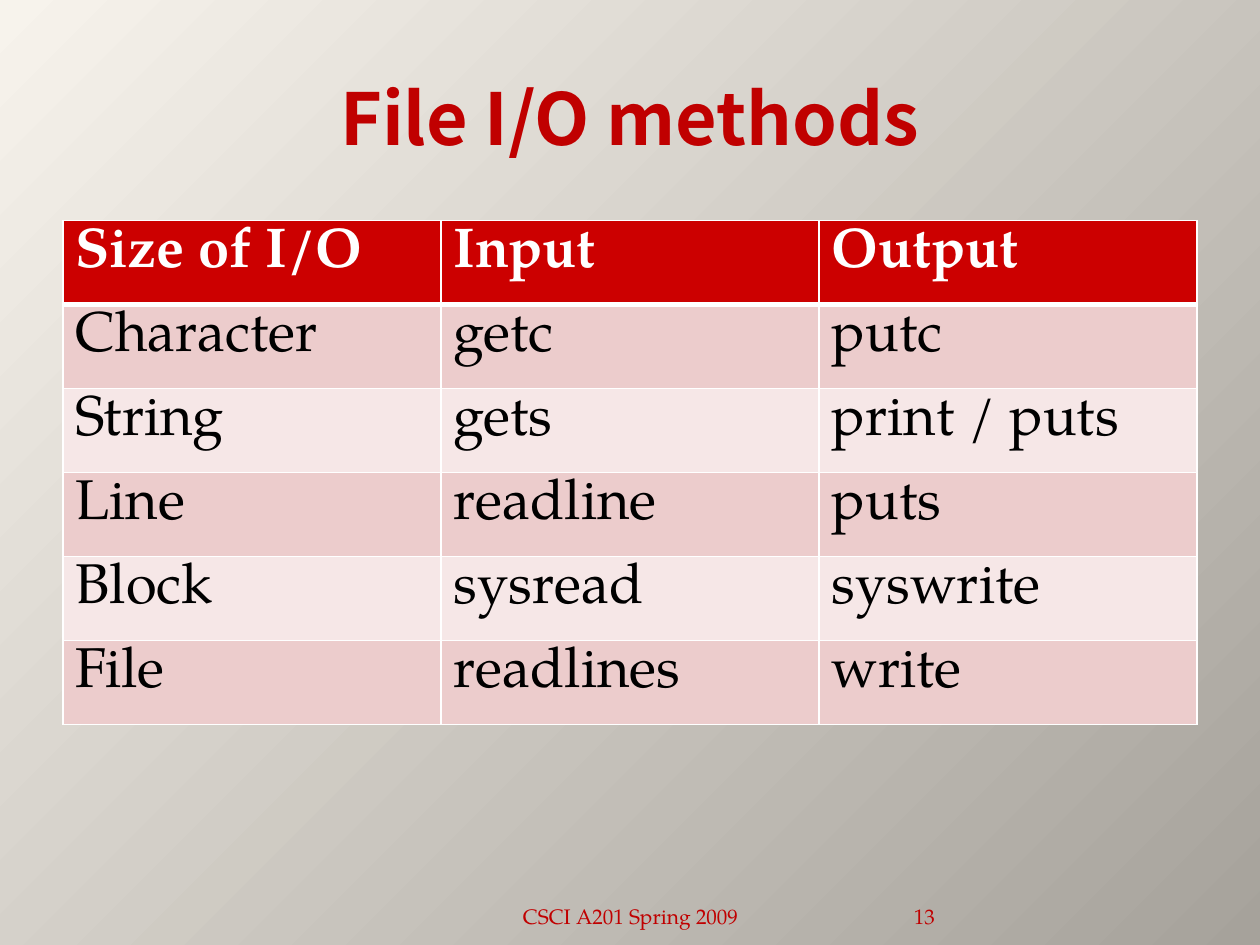
from collections import namedtuple
from dataclasses import dataclass

from lxml.etree import SubElement
from pptx import Presentation
from pptx.dml.color import RGBColor as RGB
from pptx.enum.text import MSO_ANCHOR as Anchor, PP_ALIGN as Align
from pptx.oxml.ns import qn
from pptx.util import Inches, Pt

Box = namedtuple("Box", "left top width height")


@dataclass(frozen=True)
class Theme:
    heading_font: str = "Noto Sans CJK SC"
    body_font: str = "TeX Gyre Pagella"
    title_size: int = 41
    table_size: int = 32
    footer_size: int = 12
    accent: str = "C00000"
    header_fill: str = "CC0000"
    bands: tuple = ("ECCCCC", "F6E7E7")
    white: str = "FFFFFF"
    black: str = "000000"
    backdrop: tuple = ("F7F3EC", "A6A29B")
    rule: int = 1
    header_rule: int = 3


THEME = Theme()

METHODS = [
    ("Size of I/O", "Input", "Output"),
    ("Character", "getc", "putc"),
    ("String", "gets", "print / puts"),
    ("Line", "readline", "puts"),
    ("Block", "sysread", "syswrite"),
    ("File", "readlines", "write"),
]


def add_span(para, text, font, size, color, bold=False):
    span = para.add_run()
    span.text = text
    span.font.name = font
    span.font.size = Pt(size)
    span.font.bold = bold
    span.font.color.rgb = RGB.from_string(color)


def add_text(page, box, text, font, size, align, anchor, bold=False, side_inset=0.1):
    frame = page.shapes.add_textbox(*map(Inches, box)).text_frame
    frame.word_wrap = True
    frame.vertical_anchor = anchor
    frame.margin_left = frame.margin_right = Inches(side_inset)
    para = frame.paragraphs[0]
    para.alignment = align
    add_span(para, text, font, size, THEME.accent, bold)


def paint_background(page):
    fill = page.background.fill
    fill.gradient()
    for stop, color in zip(fill.gradient_stops, THEME.backdrop):
        stop.color.rgb = RGB.from_string(color)
    # Spread the gradient from the top left corner
    gradient = page.element.find(".//" + qn("a:gradFill"))
    gradient.remove(gradient.find(qn("a:lin")))
    route = SubElement(gradient, qn("a:path"), path="circle")
    SubElement(route, qn("a:fillToRect"), r="100000", b="100000")


def add_borders(cell, widths):
    properties = cell._tc.get_or_add_tcPr()
    for side, width in zip("LRTB", widths):
        line = SubElement(properties, qn("a:ln" + side), w=str(Pt(width)))
        SubElement(SubElement(line, qn("a:solidFill")), qn("a:srgbClr"), val=THEME.white)


def add_methods_table(page, box, rows):
    count, columns = len(rows), len(rows[0])
    table = page.shapes.add_table(count, columns, *map(Inches, box)).table
    for column in table.columns:
        column.width = Inches(box.width / columns)
    for r, texts in enumerate(rows):
        table.rows[r].height = Inches(box.height / count)
        header = r == 0
        fill = THEME.header_fill if header else THEME.bands[(r - 1) % 2]
        color = THEME.white if header else THEME.black
        top = THEME.header_rule if r == 1 else THEME.rule
        bottom = THEME.header_rule if header else THEME.rule
        for c, text in enumerate(texts):
            cell = table.cell(r, c)
            add_borders(cell, (THEME.rule, THEME.rule, top, bottom))
            cell.fill.solid()
            cell.fill.fore_color.rgb = RGB.from_string(fill)
            add_span(cell.text_frame.paragraphs[0], text, THEME.body_font,
                     THEME.table_size, color, header)


def add_title(page, box, text):
    add_text(page, box, text, THEME.heading_font, THEME.title_size,
             Align.CENTER, Anchor.MIDDLE, bold=True)


def add_footer(page, box, course, number):
    number_width = 0.83
    course_box = box._replace(width=box.width - number_width)
    number_box = box._replace(left=box.left + course_box.width, width=number_width)
    add_text(page, course_box, course, THEME.body_font, THEME.footer_size,
             Align.CENTER, Anchor.BOTTOM)
    add_text(page, number_box, number, THEME.body_font, THEME.footer_size,
             Align.RIGHT, Anchor.BOTTOM, side_inset=0)


def main():
    deck = Presentation()
    deck.slide_width, deck.slide_height = Inches(10), Inches(7.5)
    page = deck.slides.add_slide(deck.slide_layouts[6])

    paint_background(page)
    add_methods_table(page, Box(0.5, 1.75, 9, 4), METHODS)
    add_title(page, Box(0.5, 0.3, 9, 1.25), "File I/O methods")
    add_footer(page, Box(3.42, 7.02, 4, 0.4), "CSCI A201 Spring 2009", "13")

    deck.save("out.pptx")


if __name__ == "__main__":
    main()
